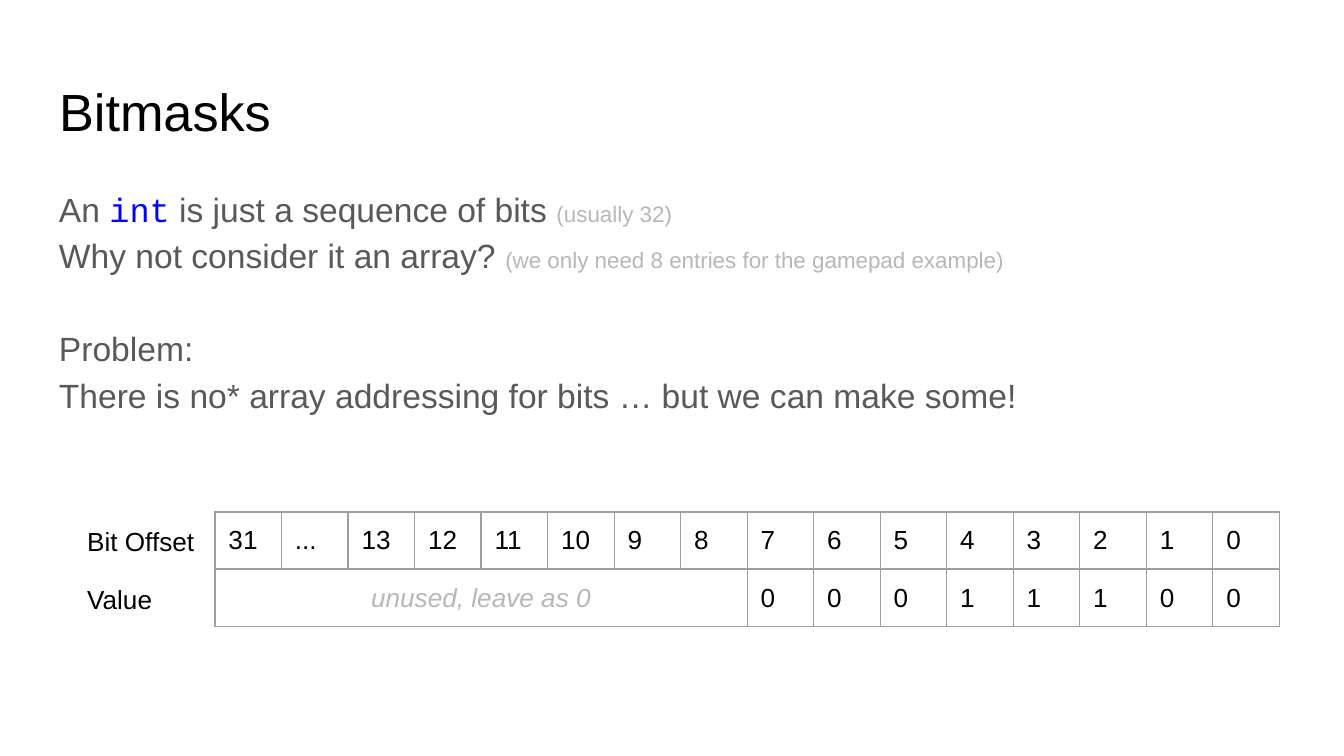
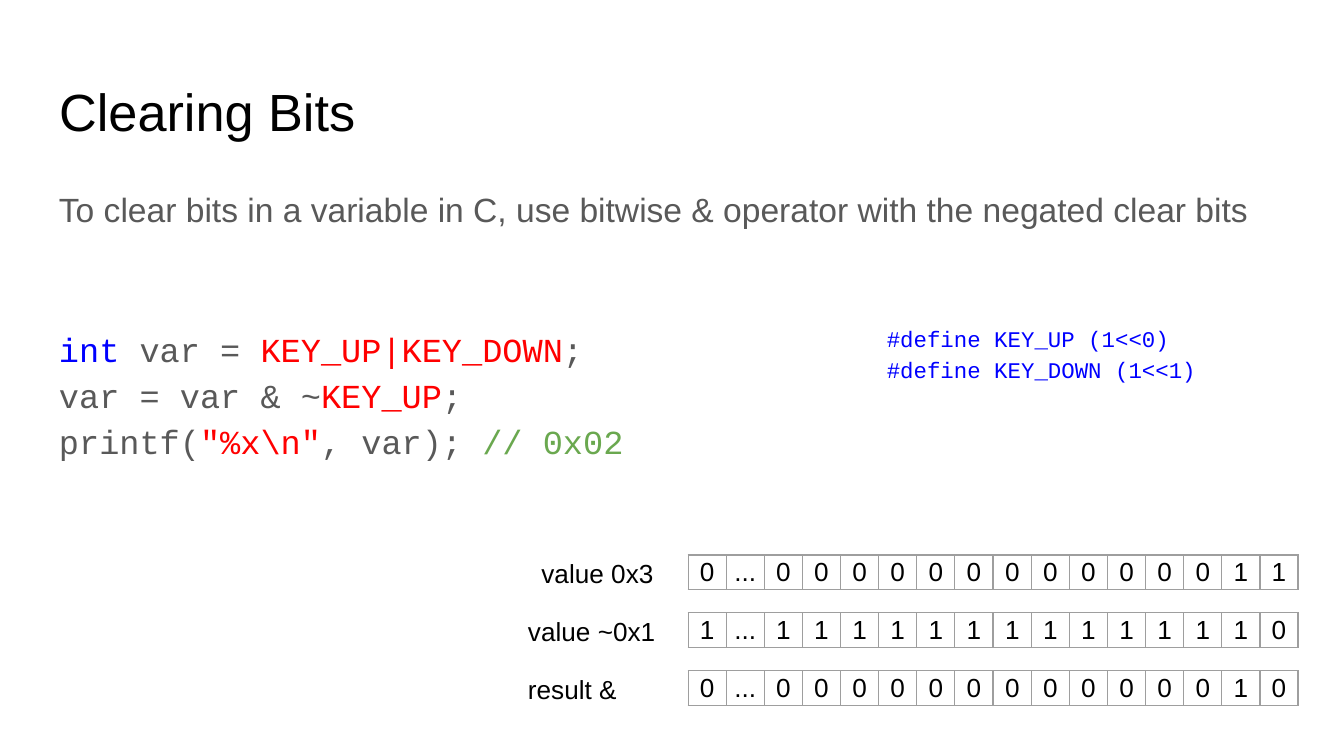
from lxml import etree
from pptx import Presentation
from pptx.dml.color import RGBColor
from pptx.enum.text import MSO_ANCHOR, MSO_AUTO_SIZE, PP_ALIGN
from pptx.oxml.ns import qn
from pptx.util import Inches, Pt

TOP = MSO_ANCHOR.TOP
FIXED = MSO_AUTO_SIZE.NONE
LEFT, MID = PP_ALIGN.LEFT, PP_ALIGN.CENTER

BLACK = RGBColor(0x00, 0x00, 0x00)
GREY = RGBColor(0x59, 0x59, 0x59)
PALE = RGBColor(0xB7, 0xB7, 0xB7)
RULE = RGBColor(0x9E, 0x9E, 0x9E)
BLUE = RGBColor(0x00, 0x00, 0xFF)
RED = RGBColor(0xFF, 0x00, 0x00)
GREEN = RGBColor(0x6A, 0xA8, 0x4F)

SANS, MONO = "Arial", "Courier New"
WIDE = Inches(10)
HIGH = WIDE * 9 // 16
UNIT = WIDE // 100  # one grid step, both across and down
PAD = 1
EDGE, SPAN = 3.4, 93.2
STEP = 4.3  # from one bit row to the next
HALF = 8  # bits in each table


def grid(*steps):
    return [round(n * UNIT) for n in steps]


def put(para, text, size, color, font=SANS, slant=False):
    """Add one run to a paragraph."""
    run = para.add_run()
    run.text = text
    run.font.size = Pt(size)
    run.font.name = font
    run.font.color.rgb = color
    run.font.italic = slant


def set_frame(frame):
    frame.word_wrap = True
    frame.auto_size = FIXED
    frame.vertical_anchor = TOP
    pad = round(PAD * UNIT)
    frame.margin_left = frame.margin_right = pad
    frame.margin_top = frame.margin_bottom = pad


def new_slide(deck, title):
    slide = deck.slides.add_slide(deck.slide_layouts[5])
    head = slide.shapes.title
    head.left, head.top, head.width, head.height = grid(EDGE, 4.9, SPAN, 6.3)
    set_frame(head.text_frame)
    para = head.text_frame.paragraphs[0]
    para.alignment = LEFT
    put(para, title, 28, BLACK)
    return slide


def add_text(slide, box, lines, space=1.0):
    """Add a text box; each line is a gap in points and its runs."""
    frame = slide.shapes.add_textbox(*grid(*box)).text_frame
    set_frame(frame)
    for i, (gap, runs) in enumerate(lines):
        para = frame.add_paragraph() if i else frame.paragraphs[0]
        para.line_spacing = space
        para.space_before = Pt(gap)
        for run in runs:
            put(para, *run)


def add_label(slide, left, top, width, text):
    add_text(slide, (left, top, width, STEP), [(0, [(text, 14, BLACK)])])


def edge_cell(cell):
    props = cell._tc.get_or_add_tcPr()
    for side in ("a:lnL", "a:lnR", "a:lnT", "a:lnB"):
        line = etree.SubElement(props, qn(side), w=str(Pt(0.75)))
        fill = etree.SubElement(line, qn("a:solidFill"))
        etree.SubElement(fill, qn("a:srgbClr"), val=str(RULE))


def add_bits(slide, left, top, width, high, pad, bits, align=LEFT, note=None):
    """Add a one-row table of bits, or a single merged cell with a note."""
    shape = slide.shapes.add_table(1, HALF, *grid(left, top, width, high))
    table = shape.table
    table.first_row = table.horz_banding = False
    for cell in table.iter_cells():
        edge_cell(cell)
        cell.fill.background()
        cell.vertical_anchor = TOP
        cell.margin_left = cell.margin_right = round(pad * UNIT)
        cell.margin_top = cell.margin_bottom = round(pad * UNIT)
    if note:
        table.cell(0, 0).merge(table.cell(0, HALF - 1))
        para = table.cell(0, 0).text_frame.paragraphs[0]
        para.alignment = MID
        put(para, note, 14, PALE, SANS, True)
    for cell, bit in zip(table.iter_cells(), bits):
        para = cell.text_frame.paragraphs[0]
        para.alignment = align
        put(para, bit, 14, BLACK)


def draw_masks(deck):
    slide = new_slide(deck, "Bitmasks")
    add_text(slide, (EDGE, 12.6, SPAN, 37.4), [
        (0, [("An ", 18, GREY), ("int", 18, BLUE, MONO),
             (" is just a sequence of bits ", 18, GREY),
             ("(usually 32)", 12, PALE)]),
        (0, [("Why not consider it an array? ", 18, GREY),
             ("(we only need 8 entries for the gamepad example)", 12, PALE)]),
        (25, [("Problem:", 18, GREY)]),
        (0, [("There is no* array addressing for bits … "
              "but we can make some!", 18, GREY)]),
    ], 1.15)
    left, width, top = 16, 39.6, 38.1
    low = top + STEP
    high = ["31", "...", *map(str, range(13, 7, -1))]
    add_label(slide, 5.5, top, 10, "Bit Offset")
    add_bits(slide, left, top, width, 4.2, PAD, high)
    add_bits(slide, left + width, top, width, 4.2, PAD, "76543210")
    add_label(slide, 5.5, low, 10, "Value")
    add_bits(slide, left, low, width, 4.2, PAD, [], note="unused, leave as 0")
    add_bits(slide, left + width, low, width, 4.2, PAD, "00011100")


def draw_clear(deck):
    slide = new_slide(deck, "Clearing Bits")

    def code(text, color=GREY, size=18):
        return text, size, color, MONO

    add_text(slide, (EDGE, 12.6, SPAN, 24.4), [
        (0, [("To clear bits in a variable in C, use bitwise & operator "
              "with the negated clear bits", 18, GREY)]),
        (50, [code("int ", BLUE), code("var = "),
              code("KEY_UP|KEY_DOWN", RED), code(";")]),
        (0, [code("var = var & ~"), code("KEY_UP", RED), code(";")]),
        (0, [code("printf("), code('"%x\\n"', RED), code(", var); "),
             code("// 0x02", GREEN)]),
    ], 1.15)
    add_text(slide, (65, 22.9, 28, 7.5), [
        (0, [code("#define KEY_UP (1<<0)", BLUE, 12)]),
        (0, [code("#define KEY_DOWN (1<<1)", BLUE, 12)]),
    ], 1.15)
    rows = [
        (39.3, "value 0x3", "0", "00000011"),
        (38.3, "value ~0x1", "1", "11111110"),
        (38.3, "result &", "0", "00000010"),
    ]
    left, width = 51.2, 22.7
    for i, (edge, name, lead, bits) in enumerate(rows):
        top = 40.5 + i * STEP
        add_label(slide, edge, top, 50.5 - edge, name)
        high = [lead, "..."] + [lead] * (HALF - 2)
        for j, part in enumerate((high, bits)):
            add_bits(slide, left + j * width, top + 0.8, width, 2.4, 0.2,
                     part, MID)


def main():
    deck = Presentation()
    deck.slide_width, deck.slide_height = WIDE, HIGH
    draw_masks(deck)
    draw_clear(deck)
    deck.save("out.pptx")


if __name__ == "__main__":
    main()
